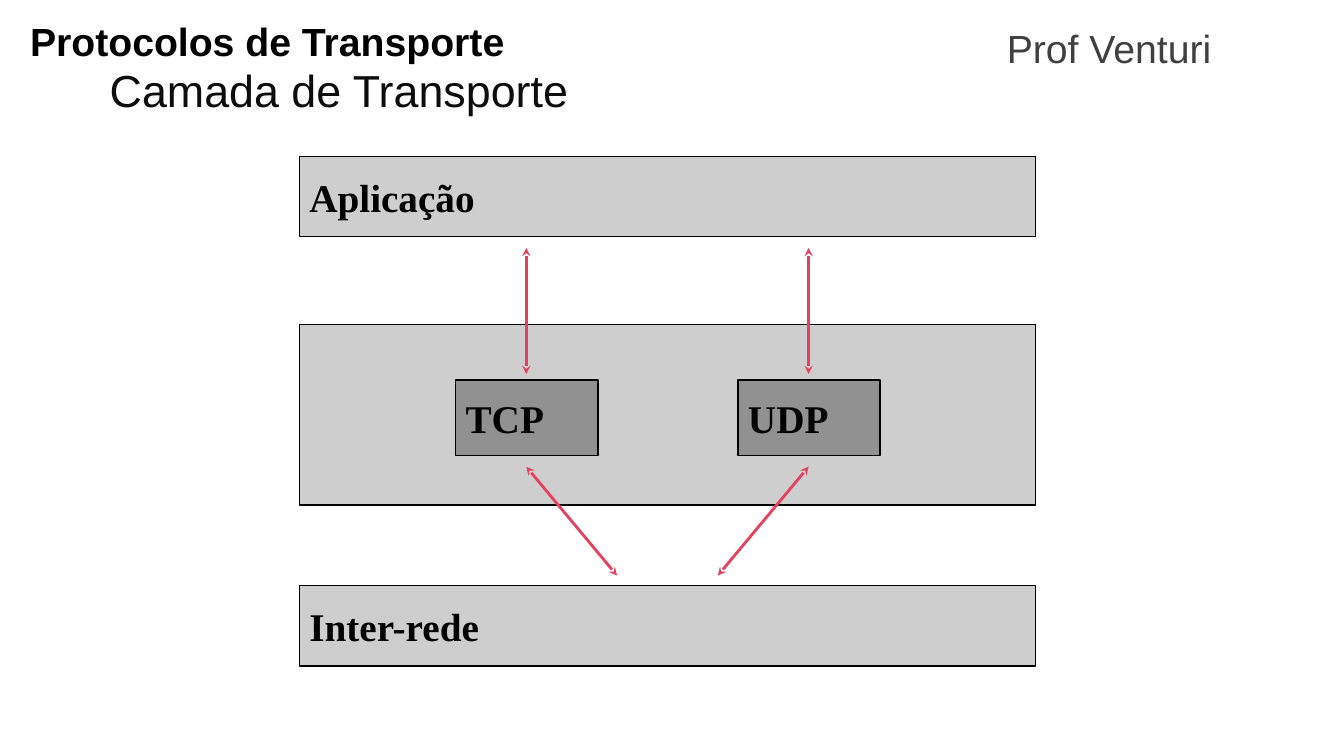
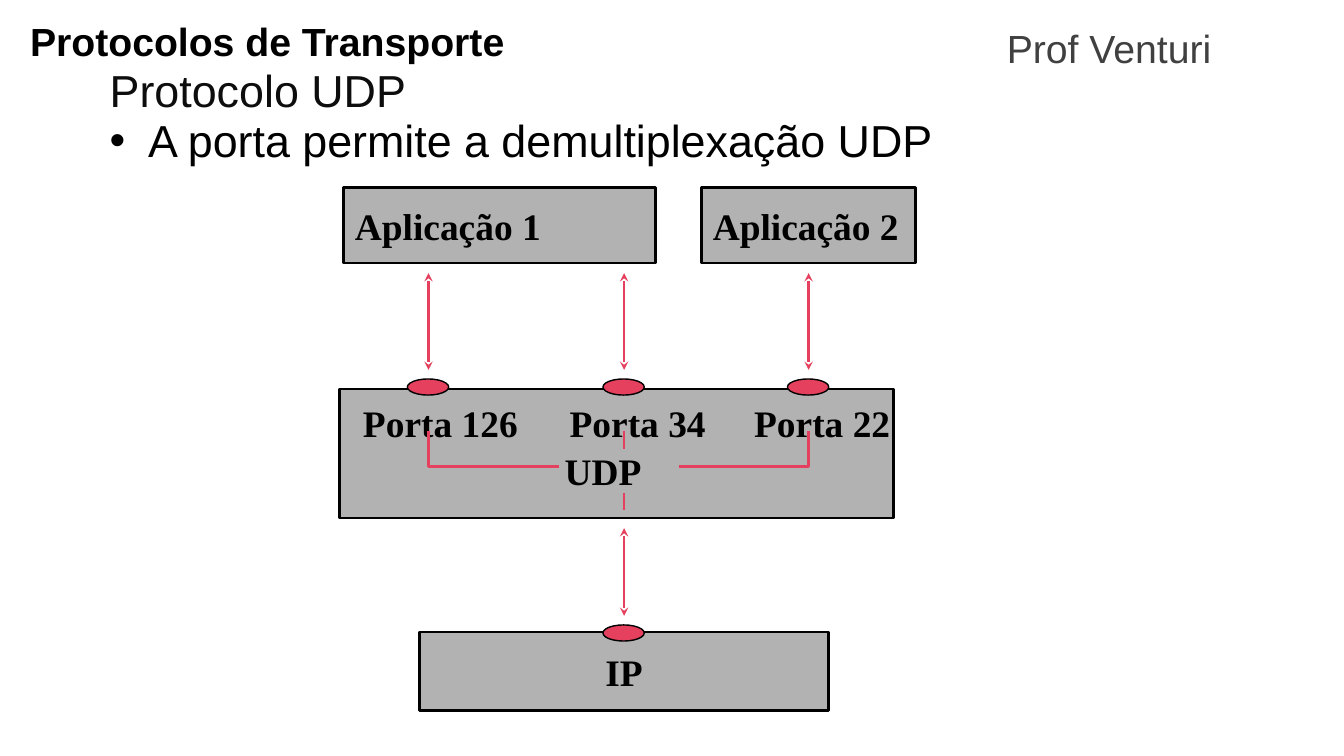
from dataclasses import dataclass

from lxml.etree import SubElement
from pptx import Presentation
from pptx.dml.color import RGBColor
from pptx.enum.shapes import MSO_CONNECTOR, MSO_SHAPE
from pptx.enum.text import MSO_ANCHOR, PP_ALIGN
from pptx.oxml.ns import qn
from pptx.slide import Slide
from pptx.util import Pt

SCALE = 9144
WIDE, HIGH = 1333, 750
BLACK = RGBColor(0x00, 0x00, 0x00)
INK = RGBColor(0x0D, 0x0D, 0x0D)
SLATE = RGBColor(0x40, 0x40, 0x40)
LIGHT = RGBColor(0xCE, 0xCE, 0xCE)
DARK = RGBColor(0x91, 0x91, 0x91)
GREY = RGBColor(0xB2, 0xB2, 0xB2)
RED = RGBColor(0xE5, 0x40, 0x5D)
SANS, SERIF = "Arial", "Times New Roman"


@dataclass(frozen=True)
class Font:
    size: float
    color: RGBColor = BLACK
    name: str = SANS
    bold: bool = False


@dataclass(frozen=True)
class Pad:
    side: int = 10
    top: int = 5
    base: int = 5


@dataclass(frozen=True)
class Label:
    text: str
    left: int
    top: int
    width: int
    height: int
    font: Font
    pad: Pad = Pad()
    align: PP_ALIGN = PP_ALIGN.LEFT
    wrap: bool = True
    space: float = 1.0
    bullet: bool = False


@dataclass(frozen=True)
class Look:
    fill: RGBColor
    line: float
    font: Font
    pad: Pad


@dataclass(frozen=True)
class Box:
    left: int
    top: int
    width: int
    height: int
    look: Look
    text: str = ""
    align: PP_ALIGN = PP_ALIGN.LEFT
    kind: MSO_SHAPE = MSO_SHAPE.RECTANGLE


@dataclass(frozen=True)
class Line:
    x1: int
    y1: int
    x2: int
    y2: int
    heads: bool = True


TITLE = Font(28, bold=True)
HEAD = Font(32, INK)
POINT = Font(32)
LARGE = Font(28, name=SERIF, bold=True)
SMALL = Font(26.7, name=SERIF, bold=True)
LOW = Pad(top=9)
LAYER = Look(LIGHT, 1, LARGE, Pad())
PROTO = Look(DARK, 1, LARGE, Pad())
BLOCK = Look(GREY, 2, SMALL, Pad(side=11))
PORT = Look(RED, 1, SMALL, Pad())


def px(value: int) -> int:
    return value * SCALE


def write(frame, text: str, font: Font, pad: Pad, align: PP_ALIGN,
          anchor: MSO_ANCHOR, wrap: bool = True):
    frame.word_wrap = wrap
    frame.vertical_anchor = anchor
    frame.margin_left = frame.margin_right = px(pad.side)
    frame.margin_top, frame.margin_bottom = px(pad.top), px(pad.base)
    frame.text = text
    para = frame.paragraphs[0]
    para.alignment = align
    for run in para.runs:
        run.font.name = font.name
        run.font.size = Pt(font.size)
        run.font.bold = font.bold
        run.font.color.rgb = font.color
    return para


def add_label(slide: Slide, item: Label) -> None:
    shape = slide.shapes.add_textbox(
        px(item.left), px(item.top), px(item.width), px(item.height))
    para = write(shape.text_frame, item.text, item.font, item.pad,
                 item.align, MSO_ANCHOR.TOP, item.wrap)
    if item.space != 1:
        para.line_spacing = item.space
    if item.bullet:
        props = para._p.get_or_add_pPr()
        props.set("marL", str(px(38)))
        props.set("indent", str(px(-38)))
        SubElement(props, qn("a:buFont"), typeface=SANS)
        SubElement(props, qn("a:buChar"), char="•")


def add_box(slide: Slide, item: Box) -> None:
    shape = slide.shapes.add_shape(
        item.kind, px(item.left), px(item.top),
        px(item.width), px(item.height))
    look = item.look
    shape.shadow.inherit = False
    shape.fill.solid()
    shape.fill.fore_color.rgb = look.fill
    shape.line.color.rgb = BLACK
    shape.line.width = Pt(look.line)
    if item.text:
        write(shape.text_frame, item.text, look.font, look.pad,
              item.align, MSO_ANCHOR.MIDDLE)


def add_line(slide: Slide, item: Line) -> None:
    link = slide.shapes.add_connector(
        MSO_CONNECTOR.STRAIGHT, px(item.x1), px(item.y1),
        px(item.x2), px(item.y2))
    link.line.color.rgb = RED
    link.line.width = Pt(2)
    if item.heads:
        for tag in ("a:headEnd", "a:tailEnd"):
            SubElement(link.line._get_or_add_ln(), qn(tag), type="stealth")
    SubElement(link._element.spPr, qn("a:effectLst"))


def add_bend(slide: Slide, start: int, end: int) -> None:
    pen = slide.shapes.build_freeform(start, 428, scale=SCALE)
    pen.add_line_segments([(start, 463), (end, 463)], close=False)
    shape = pen.convert_to_shape()
    shape.shadow.inherit = False
    shape.fill.background()
    shape.line.color.rgb = RED
    shape.line.width = Pt(2)


def add_port(slide: Slide, mid: int, top: int) -> None:
    add_box(slide, Box(mid - 21, top, 41, 16, PORT, kind=MSO_SHAPE.OVAL))


def start(deck, topic: str) -> Slide:
    slide = deck.slides.add_slide(deck.slide_layouts[6])
    for item in (
        Label("Protocolos de Transporte", 20, 15, 567, 61, TITLE,
              Pad(top=7), space=0.9),
        Label("Prof Venturi", 931, 15, 338, 50, Font(28, SLATE),
              LOW, PP_ALIGN.CENTER),
        Label(topic, 99, 53, 850, 58, HEAD, LOW),
    ):
        add_label(slide, item)
    return slide


def draw_layers(deck) -> None:
    slide = start(deck, "Camada de Transporte")
    for text, top, height in (
            ("Aplicação", 155, 80), ("", 322, 179), ("Inter-rede", 581, 80)):
        add_box(slide, Box(297, top, 730, height, LAYER, text))
    for text, mid, foot in (("TCP", 522, 612), ("UDP", 802, 712)):
        add_box(slide, Box(mid - 70, 377, 141, 75, PROTO, text))
        add_line(slide, Line(mid, 246, mid, 371))
        add_line(slide, Line(mid, 463, foot, 571))


def draw_ports(deck) -> None:
    slide = start(deck, "Protocolo UDP")
    add_label(slide, Label("A porta permite a demultiplexação UDP",
                           99, 103, 1133, 601, POINT, LOW, bullet=True))
    for item in (
        Box(341, 186, 309, 75, BLOCK, "Aplicação 1"),
        Box(696, 186, 212, 75, BLOCK, "Aplicação 2"),
        Box(337, 386, 549, 128, BLOCK),
        Box(416, 627, 406, 78, BLOCK, "IP", PP_ALIGN.CENTER),
    ):
        add_box(slide, item)
    for text, left, top, width in (
            ("Porta 126", 347, 390, 182), ("Porta 34", 552, 390, 163),
            ("Porta 22", 735, 390, 163), ("UDP", 547, 438, 104)):
        add_label(slide, Label(text, left, top, width, 58, SMALL,
                               Pad(13, 7, 7), wrap=False))
    for mid in (425, 619, 802):
        add_port(slide, mid, 376)
        add_line(slide, Line(mid, 367, mid, 271))
    add_bend(slide, 425, 554)
    add_bend(slide, 802, 673)
    for top in (428, 489):
        add_line(slide, Line(619, top, 619, top + 17, heads=False))
    add_line(slide, Line(619, 611, 619, 524))
    add_port(slide, 619, 620)


def main() -> None:
    deck = Presentation()
    deck.slide_width, deck.slide_height = px(WIDE), px(HIGH)
    draw_layers(deck)
    draw_ports(deck)
    deck.save("out.pptx")


if __name__ == "__main__":
    main()
